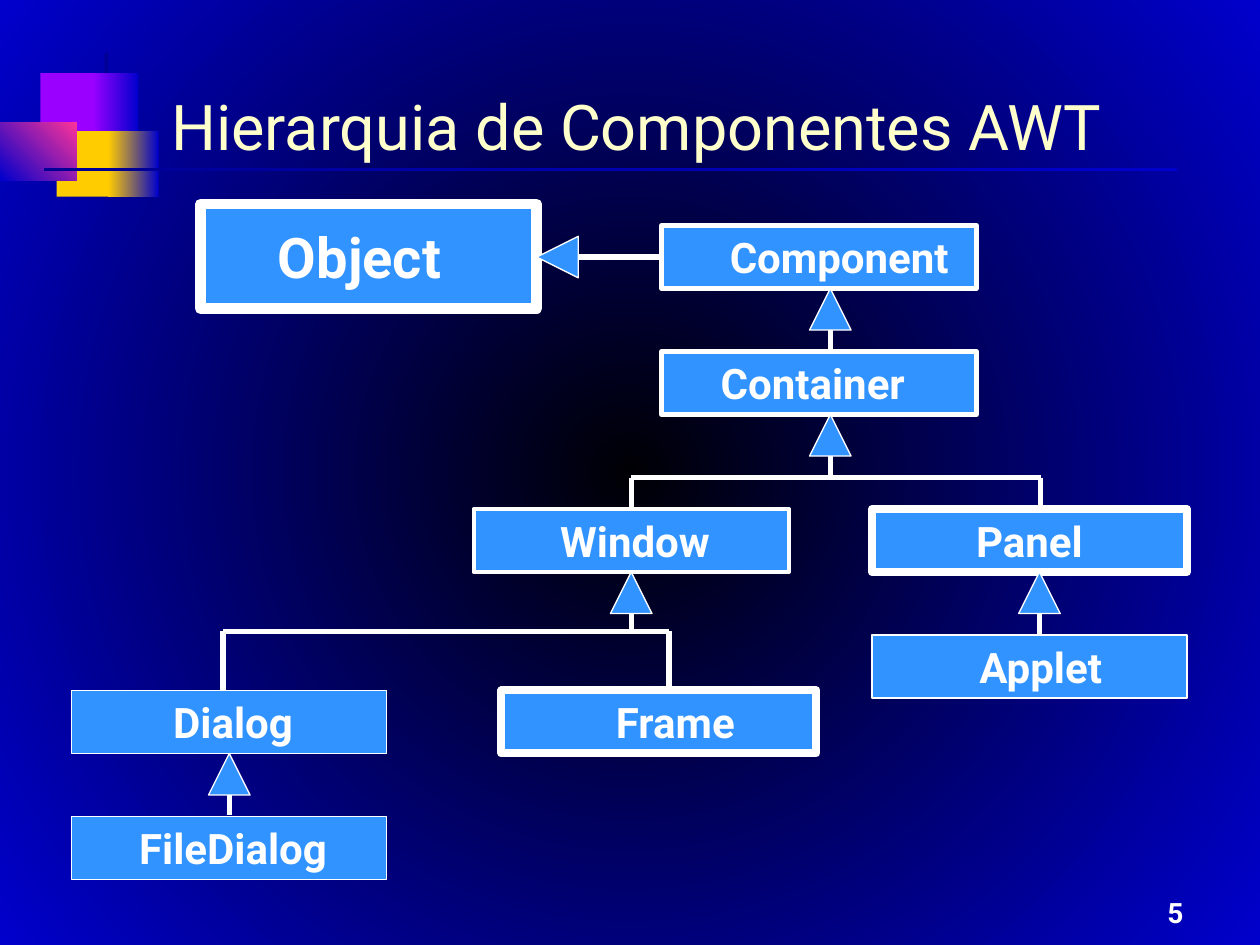
from lxml import etree
from pptx import Presentation
from pptx.dml.color import RGBColor
from pptx.enum.shapes import MSO_CONNECTOR, MSO_SHAPE
from pptx.enum.text import MSO_ANCHOR, PP_ALIGN
from pptx.oxml.ns import qn
from pptx.util import Emu, Pt

PX = 9144
RECTANGLE = MSO_SHAPE.RECTANGLE
PROCESS = MSO_SHAPE.FLOWCHART_PROCESS
TRIANGLE = MSO_SHAPE.ISOSCELES_TRIANGLE
STRAIGHT = MSO_CONNECTOR.STRAIGHT
LEFT, CENTER, RIGHT = PP_ALIGN.LEFT, PP_ALIGN.CENTER, PP_ALIGN.RIGHT
BOTTOM, MIDDLE = MSO_ANCHOR.BOTTOM, MSO_ANCHOR.MIDDLE

FONT = "Roboto"
WHITE, CREAM, BOX_BLUE = "FFFFFF", "FFFFCC", "3193FF"
NAVY, BLUE, BLACK = "000094", "0000CC", "000004"
PURPLE, YELLOW, PINK = "9900FF", "FFCC00", "FF3399"
BOX_WIDTH, BOX_HEIGHT = 250, 50
ARROW, STEM = 33, 16


def px(value):
    return Emu(round(value * PX))


def color(value):
    return RGBColor.from_string(value)


def set_gradient(fill, start, end, angle=0):
    fill.gradient()
    fill.gradient_angle = (360 - angle) % 360
    for stop, value in zip(fill.gradient_stops, (start, end)):
        stop.color.rgb = color(value)


def add_shape(slide, kind, box, fill, line_width=0):
    shape = slide.shapes.add_shape(kind, *map(px, box))
    shape.shadow.inherit = False
    if isinstance(fill, tuple):
        set_gradient(shape.fill, *fill)
    else:
        shape.fill.solid()
        shape.fill.fore_color.rgb = color(fill)
    if line_width:
        shape.line.color.rgb = color(WHITE)
        shape.line.width = Pt(line_width)
    else:
        shape.line.fill.background()
    return shape


def write(shape, text, size, align, anchor, insets=(10, 10), font_color=WHITE, bold=True):
    frame = shape.text_frame
    frame.text = text
    frame.word_wrap = True
    frame.vertical_anchor = anchor
    frame.margin_left, frame.margin_right = map(px, insets)
    frame.margin_top = frame.margin_bottom = px(5)
    paragraph = frame.paragraphs[0]
    paragraph.alignment = align
    font = paragraph.runs[0].font
    font.name, font.size, font.bold = FONT, Pt(size), bold
    font.color.rgb = color(font_color)


def add_line(slide, start, end):
    line = slide.shapes.add_connector(STRAIGHT, *map(px, start + end))
    line.line.color.rgb = color(WHITE)
    line.line.width = Pt(3)
    properties = line._element.find(qn("p:spPr"))
    etree.SubElement(properties, qn("a:effectLst"))


def set_background(slide):
    fill = slide.background.fill
    set_gradient(fill, BLACK, BLUE)
    linear = next(slide._element.iter(qn("a:lin")))
    gradient = linear.getparent()
    path = etree.Element(qn("a:path"), path="circle")
    etree.SubElement(path, qn("a:fillToRect"), l="50000", t="50000", r="50000", b="50000")
    gradient.replace(linear, path)


def add_ornament(slide, left, top):
    parts = [
        ((83, 0, 3, 115), NAVY),
        ((32, 16, 48, 52), PURPLE),
        ((74, 16, 36, 52), (BLUE, PURPLE, 180)),
        ((45, 62, 46, 52), YELLOW),
        ((86, 62, 40, 52), (BLUE, YELLOW, 180)),
        ((0, 55, 61, 46), (PINK, BLUE, 135)),
        ((35, 91, 899, 3), (BLUE, NAVY, 180)),
    ]
    for (x, y, width, height), fill in parts:
        add_shape(slide, RECTANGLE, (left + x, top + y, width, height), fill)


def add_title(slide, box):
    title = slide.shapes.add_textbox(*map(px, box))
    write(title, "Hierarquia de Componentes AWT", 36, LEFT, BOTTOM, font_color=CREAM, bold=False)


def add_page_number(slide, box):
    number = slide.shapes.add_textbox(*map(px, box))
    write(number, "5", 16, RIGHT, BOTTOM)


def add_class(slide, name, box, line_width, insets, align=CENTER, size=24):
    shape = add_shape(slide, PROCESS, box, BOX_BLUE, line_width)
    write(shape, name, size, align, MIDDLE, insets)


def add_up_arrow(slide, center, top):
    add_shape(slide, TRIANGLE, (center - ARROW / 2, top, ARROW, ARROW), BOX_BLUE, 0.75)
    add_line(slide, (center, top + ARROW), (center, top + ARROW + STEM))


def add_left_arrow(slide, left, middle, end):
    triangle = add_shape(slide, TRIANGLE, (left, middle - ARROW / 2, ARROW, ARROW), BOX_BLUE, 0.75)
    triangle.rotation = 270
    add_line(slide, (left + ARROW, middle), (end, middle))


def add_fork(slide, left, right, top, bottom):
    add_line(slide, (left, top), (right, top))
    for x in (left, right):
        add_line(slide, (x, top), (x, bottom))


def add_hierarchy(slide, left, top):
    classes = [
        ("Component", 468, 17, 2.5, (0, 22), RIGHT),
        ("Container", 468, 117, 2.5, (0, 10), CENTER),
        ("Window", 319, 242, 2.5, (39, 33), CENTER),
        ("Frame", 341, 386, 4.5, (59, 33), CENTER),
        ("Dialog", 0, 386, 0.75, (43, 37), CENTER),
        ("FileDialog", 0, 486, 0.75, (39, 33), CENTER),
        ("Panel", 635, 242, 4.5, (47, 47), CENTER),
        ("Applet", 635, 342, 0.75, (59, 41), CENTER),
    ]
    for name, x, y, line_width, insets, align in classes:
        box = (left + x, top + y, BOX_WIDTH, BOX_HEIGHT)
        add_class(slide, name, box, line_width, insets, align)
    add_class(slide, "Object", (left + 102, top, 267, 83), 6, (43, 57), size=32)

    for center, y in [(602, 67), (602, 167), (768, 292), (444, 292), (125, 436)]:
        add_up_arrow(slide, left + center, top + y)
    add_left_arrow(slide, left + 369, top + 42, left + 468)
    add_fork(slide, left + 444, left + 769, top + 217, top + 242)
    add_fork(slide, left + 120, left + 474, top + 339, top + 386)


def main():
    presentation = Presentation()
    presentation.slide_width, presentation.slide_height = px(1000), px(750)
    slide = presentation.slides.add_slide(presentation.slide_layouts[6])
    set_background(slide)
    add_ornament(slide, 0, 42)
    add_page_number(slide, (742, 692, 207, 50))
    add_title(slide, (126, 50, 852, 84))
    add_hierarchy(slide, 57, 162)
    presentation.save("out.pptx")


if __name__ == "__main__":
    main()
